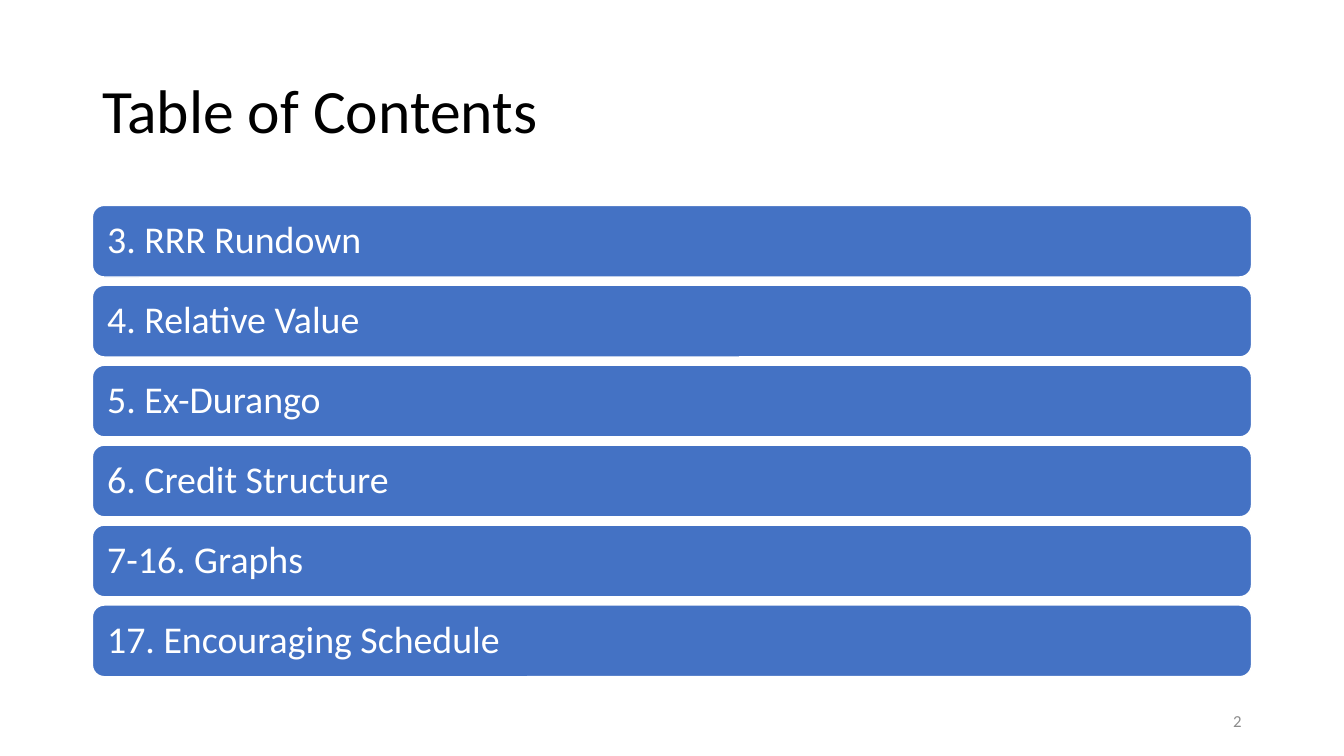
from pptx import Presentation
from pptx.dml.color import RGBColor
from pptx.enum.shapes import MSO_SHAPE
from pptx.enum.text import MSO_ANCHOR, PP_ALIGN
from pptx.util import Pt

ROUNDED = MSO_SHAPE.ROUNDED_RECTANGLE
MIDDLE = MSO_ANCHOR.MIDDLE
LEFT, RIGHT = PP_ALIGN.LEFT, PP_ALIGN.RIGHT

FONT = "Calibri"
BLACK = RGBColor(0x00, 0x00, 0x00)
WHITE = RGBColor(0xFF, 0xFF, 0xFF)
BLUE = RGBColor(0x44, 0x72, 0xC4)
GRAY = RGBColor(0x8C, 0x8C, 0x8C)

MARGIN = 66
CONTENT_WIDTH = 828
BAR_TOP = 146.7
BAR_HEIGHT = 51.2
BAR_PITCH = 57.1
BAR_INSET = 8.1

ENTRIES = [
    "3. RRR Rundown",
    "4. Relative Value",
    "5. Ex-Durango",
    "6. Credit Structure",
    "7-16. Graphs",
    "17. Encouraging Schedule",
]


def write_text(shape, text, size, color, alignment=LEFT, line_spacing=1.0):
    frame = shape.text_frame
    frame.word_wrap = True
    frame.vertical_anchor = MIDDLE
    paragraph = frame.paragraphs[0]
    paragraph.text = text
    paragraph.alignment = alignment
    paragraph.line_spacing = line_spacing
    paragraph.font.name = FONT
    paragraph.font.size = Pt(size)
    paragraph.font.color.rgb = color


def add_text(slide, box, text, size, color, **layout):
    """Add a text box; box is left, top, width and height in points."""
    shape = slide.shapes.add_textbox(*map(Pt, box))
    write_text(shape, text, size, color, **layout)


def add_entry_bar(slide, top, text):
    bar = slide.shapes.add_shape(
        ROUNDED, Pt(MARGIN), Pt(top), Pt(CONTENT_WIDTH), Pt(BAR_HEIGHT))
    bar.shadow.inherit = False
    bar.fill.solid()
    bar.fill.fore_color.rgb = BLUE
    bar.line.color.rgb = WHITE
    bar.line.width = Pt(1)
    bar.text_frame.margin_left = bar.text_frame.margin_right = Pt(BAR_INSET)
    write_text(bar, text, 27, WHITE, line_spacing=0.9)


def main():
    presentation = Presentation()
    presentation.slide_width = Pt(960)
    presentation.slide_height = Pt(540)
    blank_layout = presentation.slide_layouts[6]
    slide = presentation.slides.add_slide(blank_layout)

    add_text(slide, (MARGIN, 28.8, CONTENT_WIDTH, 104.4),
             "Table of Contents", 44, BLACK, line_spacing=0.9)
    for index, entry in enumerate(ENTRIES):
        add_entry_bar(slide, BAR_TOP + index * BAR_PITCH, entry)
    add_text(slide, (678, 500.5, 216, 28.8), "2", 12, GRAY, alignment=RIGHT)

    presentation.save("out.pptx")


if __name__ == "__main__":
    main()
